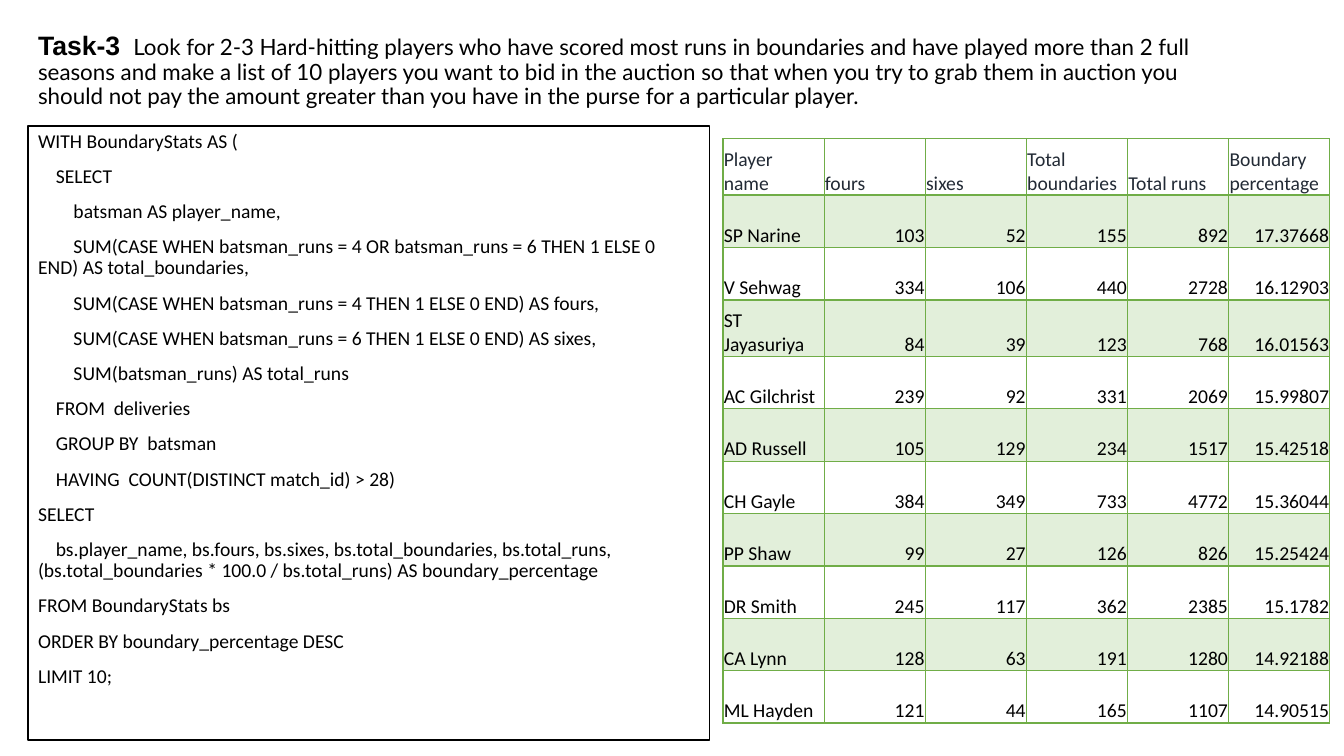
from lxml import etree
from pptx import Presentation
from pptx.dml.color import RGBColor
from pptx.enum.shapes import MSO_SHAPE
from pptx.enum.text import MSO_ANCHOR, PP_ALIGN
from pptx.oxml.ns import qn
from pptx.util import Cm, Pt

RECTANGLE = MSO_SHAPE.RECTANGLE
TOP, MIDDLE, BOTTOM = MSO_ANCHOR.TOP, MSO_ANCHOR.MIDDLE, MSO_ANCHOR.BOTTOM
LEFT, RIGHT = PP_ALIGN.LEFT, PP_ALIGN.RIGHT

BLACK = RGBColor(0x00, 0x00, 0x00)
WHITE = RGBColor(0xFF, 0xFF, 0xFF)
SLATE = RGBColor(0x22, 0x2A, 0x35)
GREEN = RGBColor(0x70, 0xAD, 0x47)
PALE_GREEN = RGBColor(0xE2, 0xEF, 0xDA)

TASK = (
    "Look for 2-3 Hard-hitting players who have scored most runs in boundaries and have "
    "played more than 2 full seasons and make a list of 10 players you want to bid in the "
    "auction so that when you try to grab them in auction you should not pay the amount "
    "greater than you have in the purse for a particular player."
)

QUERY = """WITH BoundaryStats AS (
    SELECT
        batsman AS player_name,
        SUM(CASE WHEN batsman_runs = 4 OR batsman_runs = 6 THEN 1 ELSE 0 END) AS total_boundaries,
        SUM(CASE WHEN batsman_runs = 4 THEN 1 ELSE 0 END) AS fours,
        SUM(CASE WHEN batsman_runs = 6 THEN 1 ELSE 0 END) AS sixes,
        SUM(batsman_runs) AS total_runs
    FROM  deliveries
    GROUP BY  batsman
    HAVING  COUNT(DISTINCT match_id) > 28)
SELECT
    bs.player_name, bs.fours, bs.sixes, bs.total_boundaries, bs.total_runs, (bs.total_boundaries * 100.0 / bs.total_runs) AS boundary_percentage
FROM BoundaryStats bs
ORDER BY boundary_percentage DESC
LIMIT 10;"""

PLAYERS = [
    ("Player  name", "fours", "sixes", "Total boundaries", "Total runs", "Boundary percentage"),
    ("SP Narine", 103, 52, 155, 892, 17.37668),
    ("V Sehwag", 334, 106, 440, 2728, 16.12903),
    ("ST Jayasuriya", 84, 39, 123, 768, 16.01563),
    ("AC Gilchrist", 239, 92, 331, 2069, 15.99807),
    ("AD Russell", 105, 129, 234, 1517, 15.42518),
    ("CH Gayle", 384, 349, 733, 4772, 15.36044),
    ("PP Shaw", 99, 27, 126, 826, 15.25424),
    ("DR Smith", 245, 117, 362, 2385, 15.1782),
    ("CA Lynn", 128, 63, 191, 1280, 14.92188),
    ("ML Hayden", 121, 44, 165, 1107, 14.90515),
]
TALL_ROWS = (0, 3)


def add_text(paragraph, text, size=14, font="Calibri", color=BLACK, bold=False):
    run = paragraph.add_run()
    run.text = text
    run.font.size = Pt(size)
    run.font.name = font
    run.font.color.rgb = color
    run.font.bold = bold


def set_borders(cell, color, **widths):
    properties = cell._tc.get_or_add_tcPr()
    for side in "LRTB":
        width = Pt(widths.get(side, 1))
        line = etree.SubElement(properties, qn(f"a:ln{side}"), w=str(width))
        fill = etree.SubElement(line, qn("a:solidFill"))
        etree.SubElement(fill, qn("a:srgbClr"), val=str(color))


class TaskSlide:
    line_spacing = 0.9
    paragraph_gap = Pt(10)
    cell_margin = Cm(0.02)

    def __init__(self, presentation):
        self.slide = presentation.slides.add_slide(presentation.slide_layouts[6])

    def title(self, left, top, width, height, label, task):
        box = self.slide.shapes.add_textbox(Cm(left), Cm(top), Cm(width), Cm(height))
        frame = box.text_frame
        frame.word_wrap = True
        frame.vertical_anchor = MIDDLE
        paragraph = frame.paragraphs[0]
        paragraph.line_spacing = self.line_spacing
        add_text(paragraph, label, size=19, font="Arial", bold=True)
        add_text(paragraph, " ", size=18, font="Arial", bold=True)
        add_text(paragraph, " ", size=16, font="Arial")
        add_text(paragraph, task, size=16, font="Lato")

    def code_panel(self, left, top, width, height, code):
        shape = self.slide.shapes.add_shape(RECTANGLE, Cm(left), Cm(top), Cm(width), Cm(height))
        shape.shadow.inherit = False
        shape.fill.solid()
        shape.fill.fore_color.rgb = WHITE
        shape.line.color.rgb = BLACK
        shape.line.width = Pt(1)
        frame = shape.text_frame
        frame.word_wrap = True
        frame.vertical_anchor = TOP
        for index, line in enumerate(code.splitlines()):
            paragraph = frame.add_paragraph() if index else frame.paragraphs[0]
            paragraph.alignment = LEFT
            paragraph.line_spacing = self.line_spacing
            paragraph.space_before = self.paragraph_gap if index else Pt(0)
            add_text(paragraph, line)

    def table(self, left, top, column_width, row_height, tall_row_height, rows):
        columns = len(rows[0])
        heights = [tall_row_height if index in TALL_ROWS else row_height for index in range(len(rows))]
        table = self.slide.shapes.add_table(
            len(rows), columns, Cm(left), Cm(top), Cm(column_width * columns), Cm(sum(heights))
        ).table
        table.horz_banding = False
        for column in table.columns:
            column.width = Cm(column_width)
        for row_index, values in enumerate(rows):
            table.rows[row_index].height = Cm(heights[row_index])
            for column_index, value in enumerate(values):
                self.cell(table.cell(row_index, column_index), value, row_index)

    def cell(self, cell, value, row_index):
        cell.margin_left = cell.margin_right = cell.margin_top = self.cell_margin
        cell.margin_bottom = 0
        cell.vertical_anchor = BOTTOM
        set_borders(cell, GREEN, T=2 if row_index == 1 else 1, B=2 if row_index == 0 else 1)
        if row_index % 2:
            cell.fill.solid()
            cell.fill.fore_color.rgb = PALE_GREEN
        else:
            cell.fill.background()
        paragraph = cell.text_frame.paragraphs[0]
        paragraph.alignment = LEFT if isinstance(value, str) else RIGHT
        add_text(paragraph, str(value), color=BLACK if row_index else SLATE)


def main():
    presentation = Presentation()
    presentation.slide_width = Cm(33.87)
    presentation.slide_height = Cm(19.05)
    slide = TaskSlide(presentation)
    slide.title(0.71, 0.41, 30.18, 2.77, "Task-3", TASK)
    slide.code_panel(0.71, 3.18, 17.17, 15.47, QUERY)
    slide.table(18.22, 3.5, 2.55, 1.32, 1.42, PLAYERS)
    presentation.save("out.pptx")


if __name__ == "__main__":
    main()
